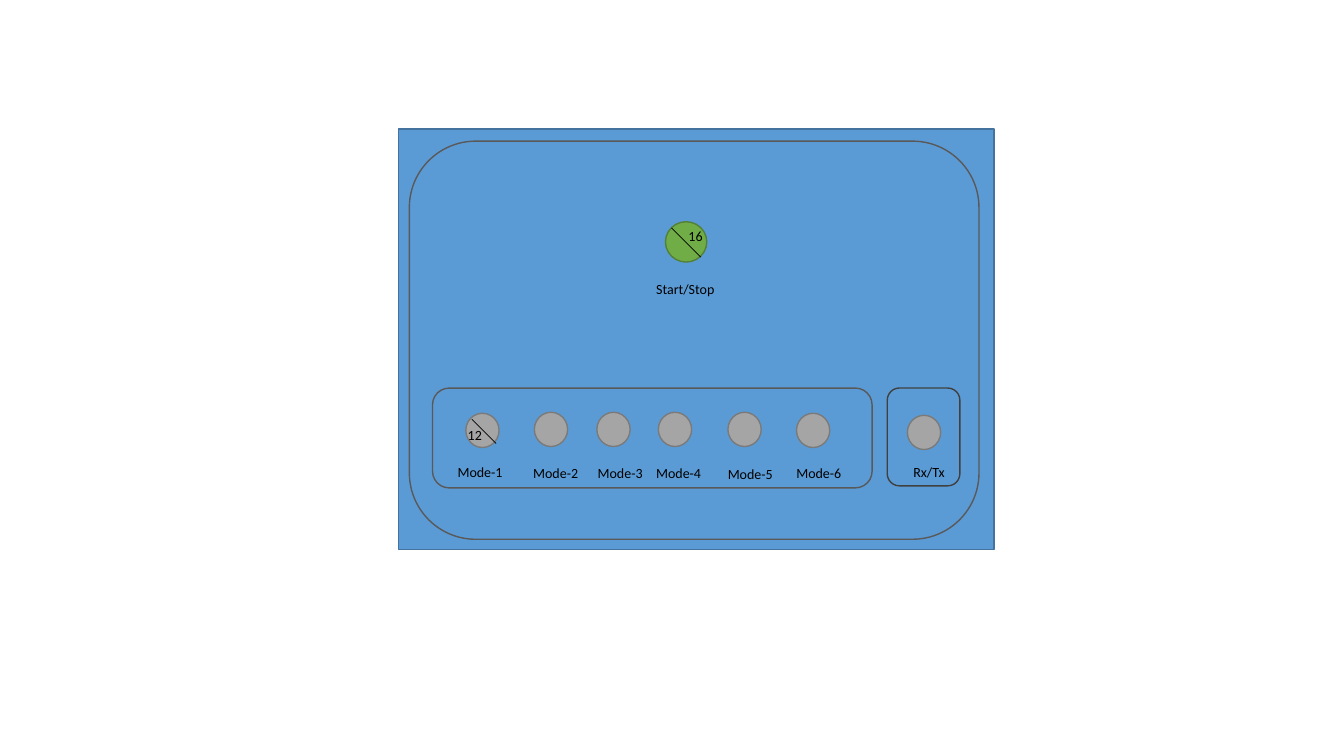
from pptx import Presentation
from pptx.dml.color import RGBColor
from pptx.enum.shapes import MSO_CONNECTOR as Connector, MSO_SHAPE as Shape
from pptx.enum.text import MSO_AUTO_SIZE as AutoSize
from pptx.oxml.ns import qn
from pptx.util import Inches, Pt
from lxml.etree import SubElement

COLORS = {
    "panel": "5B9BD5", "panel_edge": "43739E",
    "start": "70AD47", "start_edge": "538035",
    "button": "A5A5A5", "button_edge": "7A7A7A",
    "frame": "595959", "dark_frame": "404040", "ink": "000000",
}


class Panel:
    """Draws the parts of the control panel on one slide."""
    font, size = "Calibri", Pt(10)

    def __init__(self, slide):
        self.shapes = slide.shapes

    def color(self, name):
        return RGBColor.from_string(COLORS[name])

    def shape(self, kind, left, top, width, height, edge, fill=None):
        item = self.shapes.add_shape(
            kind, Inches(left), Inches(top), Inches(width), Inches(height))
        item.shadow.inherit = False
        if fill:
            item.fill.solid()
            item.fill.fore_color.rgb = self.color(fill)
        else:
            item.fill.background()
        item.line.color.rgb = self.color(edge)
        item.line.width = Pt(1)

    def frame(self, left, top, width, height, edge="frame"):
        self.shape(Shape.ROUNDED_RECTANGLE, left, top, width, height, edge)

    def button(self, left, top):
        self.shape(Shape.OVAL, left, top, 0.33, 0.34, "button_edge", "button")

    def diameter(self, left, top, span):
        line = self.shapes.add_connector(
            Connector.STRAIGHT, Inches(left), Inches(top),
            Inches(left + span), Inches(top + span))
        line.line.color.rgb = self.color("ink")
        line.line.width = Pt(0.5)
        SubElement(line._element.spPr, qn("a:effectLst"))

    def label(self, text, left, top, width):
        box = self.shapes.add_textbox(
            Inches(left), Inches(top), Inches(width), Inches(0.27))
        frame = box.text_frame
        frame.text = text
        frame.word_wrap = False
        frame.auto_size = AutoSize.SHAPE_TO_FIT_TEXT
        font = frame.paragraphs[0].runs[0].font
        font.name, font.size = self.font, self.size
        font.color.rgb = self.color("ink")


deck = Presentation()
deck.slide_width, deck.slide_height = Inches(13.33), Inches(7.5)
panel = Panel(deck.slides.add_slide(deck.slide_layouts[6]))

# Housing and start button
panel.shape(Shape.RECTANGLE, 3.95, 1.28, 5.91, 4.17, "panel_edge", "panel")
panel.shape(Shape.OVAL, 6.6, 2.2, 0.41, 0.4, "start_edge", "start")

# Mode buttons: button left, button top, label left, label top
modes = [
    (4.62, 4.10, 4.44, 4.55),
    (5.30, 4.09, 5.19, 4.56),
    (5.92, 4.09, 5.83, 4.56),
    (6.53, 4.09, 6.41, 4.56),
    (7.22, 4.09, 7.12, 4.57),
    (7.90, 4.10, 7.80, 4.56),
]
for number, (left, top, label_left, label_top) in enumerate(modes, 1):
    panel.button(left, top)
    panel.label(f"Mode-{number}", label_left, label_top, 0.65)

# Button diameters
panel.diameter(6.66, 2.26, 0.29)
panel.label("16 ", 6.73, 2.21, 0.38)
panel.label("12 ", 4.54, 4.18, 0.38)
panel.diameter(4.68, 4.16, 0.24)

# Front plate and mode group
panel.frame(4.06, 1.4, 5.65, 3.95)
panel.label("Start/Stop", 6.41, 2.73, 0.79)
panel.frame(4.29, 3.85, 4.36, 0.99)

# Receive and transmit indicator
panel.frame(8.8, 3.85, 0.72, 0.97, "dark_frame")
panel.button(9, 4.12)
panel.label("Rx/Tx", 8.96, 4.55, 0.52)

deck.save("out.pptx")
